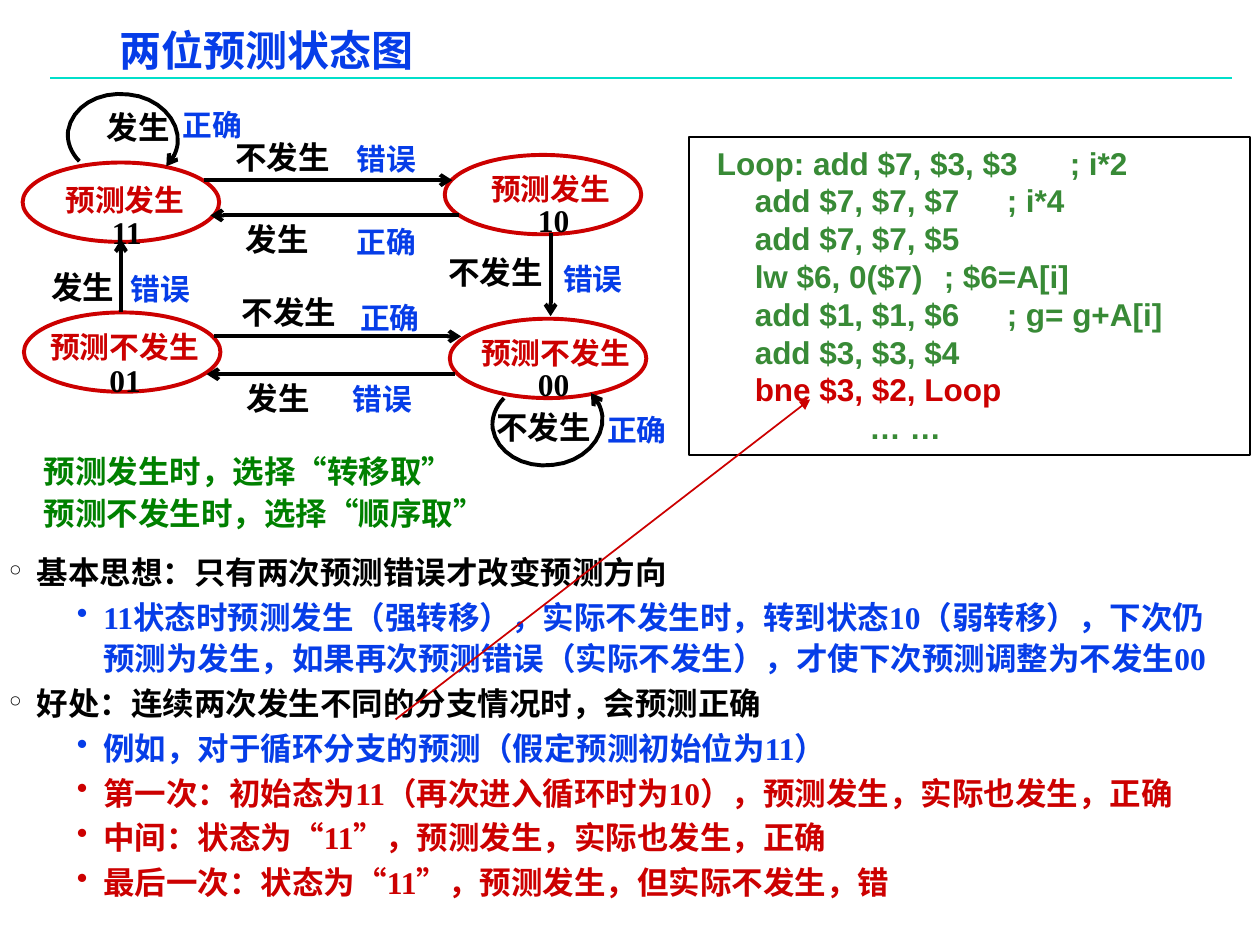
from lxml.etree import SubElement
from pptx import Presentation
from pptx.dml.color import RGBColor
from pptx.enum.shapes import MSO_CONNECTOR, MSO_SHAPE
from pptx.enum.text import MSO_ANCHOR, PP_ALIGN
from pptx.oxml.ns import qn
from pptx.util import Inches, Pt

COLORS = {"blue": "063DE8", "red": "CC0000", "black": "000000",
          "green": "008000", "code": "388A36", "rule": "00DFCA"}
SERIF, SANS, CJK = "Times New Roman", "Arial", "Noto Sans CJK SC"

STATES = [  # ellipse position, name and its position, code and its position
    (0.18, 1.29, "预测发生", 0.42, 1.39, "11", 0.79, 1.64),
    (3.53, 1.23, "预测发生", 3.8, 1.31, "10", 4.17, 1.55),
    (0.19, 2.48, "预测不发生", 0.3, 2.56, "01", 0.77, 2.82),
    (3.57, 2.53, "预测不发生", 3.72, 2.61, "00", 4.17, 2.85),
]
TRANSITIONS = [  # start and end of each arrow
    (1.62, 1.43, 3.59, 1.43), (3.64, 1.71, 1.67, 1.71),
    (1.7, 2.67, 3.66, 2.67), (3.61, 2.97, 1.64, 2.97),
    (0.96, 2.48, 0.96, 1.9), (4.37, 1.85, 4.37, 2.51),
]
OUTCOMES = [
    ("发生", 0.75, 0.81), ("不发生", 3.84, 3.19), ("发生", 0.31, 2.08),
    ("不发生", 1.77, 1.05), ("发生", 1.85, 1.7), ("不发生", 1.82, 2.28),
    ("发生", 1.86, 2.96), ("不发生", 3.46, 1.96),
]
VERDICTS = [
    ("正确", 1.35, 0.8), ("错误", 2.73, 1.07), ("正确", 2.73, 1.73),
    ("错误", 4.37, 2.02), ("正确", 4.72, 3.22), ("正确", 2.76, 2.33),
    ("错误", 2.7, 2.97), ("错误", 0.94, 2.1),
]
LOOP_START = (0.63, 1.28)
LOOP_CURVES = [  # two control points and an end point each
    ((0.56, 1.21), (0.53, 1.12), (0.54, 1.04)),
    ((0.57, 0.85), (0.78, 0.72), (1.02, 0.75)),
    ((1.25, 0.77), (1.43, 0.95), (1.41, 1.14)),
    ((1.4, 1.21), (1.37, 1.27), (1.32, 1.32)),
]
POINTS = [  # level, colour, runs
    (0, "black", ["基本思想：只有两次预测错误才改变预测方向"]),
    (1, "blue", ["11状态时预测发生（强转移），实际不发生时，转到状态10（弱转移），"
                 "下次仍预测为发生，如果再次预测错误（实际不发生），才使下次预测调整为不发生00"]),
    (0, "black", ["好处：连续两次发生不同的分支情况时，会预测正确"]),
    (1, "blue", ["例如，对于循环分支的预测（假定预测初始位为11）"]),
    (1, "red", ["第一次：初始态为11（再次进入循环时为10），预测发生，实际也发生，正确"]),
    (1, "red", ["中间：状态为", "“", "11", "”", "，预测发生，实际也发生，正确"]),
    (1, "red", ["最后一次：状态为", "“", "11", "”", "，预测发生，但实际不发生，错"]),
]
CODE = [  # first-line indent, text, colour
    (0.2, "Loop: add $7, $3, $3\t; i*2", "code"),
    (0, "\tadd $7, $7, $7\t; i*4", "code"),
    (0, "\tadd $7, $7, $5", "code"),
    (0, "\tlw $6, 0($7)\t; $6=A[i]", "code"),
    (0, "\tadd $1, $1, $6\t; g= g+A[i]", "code"),
    (0, "\tadd $3, $3, $4", "code"),
    (0, "\tbne $3, $2, Loop", "red"),
    (1.41, "… …", "code"),
]


def rgb(name):
    return RGBColor.from_string(COLORS[name])


def add_run(paragraph, text, size, color, font=SERIF):
    run = paragraph.add_run()
    run.text = text
    run.font.size, run.font.bold, run.font.name = Pt(size), True, font
    run.font.color.rgb = rgb(color)
    SubElement(run.font._element, qn("a:ea"), typeface=CJK)


def add_text_box(slide, left, top, width, height):
    frame = slide.shapes.add_textbox(
        Inches(left), Inches(top), Inches(width), Inches(height)).text_frame
    frame.word_wrap = True
    return frame


def set_insets(frame, left, top, right, bottom):
    frame.margin_left, frame.margin_top = Inches(left), Inches(top)
    frame.margin_right, frame.margin_bottom = Inches(right), Inches(bottom)


def next_paragraph(frame, index):
    return frame.add_paragraph() if index else frame.paragraphs[0]


def set_indent(paragraph, margin, indent):
    properties = paragraph._p.get_or_add_pPr()
    properties.set("marL", str(Inches(margin)))
    properties.set("indent", str(Inches(indent)))
    return properties


def add_label(slide, text, left, top, size, color):
    frame = add_text_box(slide, left, top, 0.35 + 0.25 * len(text), 0.4)
    add_run(frame.paragraphs[0], text, size, color)


def style_line(shape, color, width, arrow=None):
    shape.line.color.rgb = rgb(color)
    shape.line.width = Pt(width)
    if arrow:
        SubElement(shape.line._get_or_add_ln(), qn("a:tailEnd"), type=arrow)


def add_line(slide, ends, color, width, arrow=None):
    connector = slide.shapes.add_connector(
        MSO_CONNECTOR.STRAIGHT, *(Inches(value) for value in ends))
    style_line(connector, color, width, arrow)
    SubElement(connector._element.spPr, qn("a:effectLst"))


def add_outline(slide, preset, left, top, width, height, color, line_width):
    shape = slide.shapes.add_shape(
        preset, Inches(left), Inches(top), Inches(width), Inches(height))
    shape.shadow.inherit = False
    shape.fill.background()
    style_line(shape, color, line_width)
    return shape


def loop_points(steps=8):
    """Sample the cubic curves of the self-loop above state 11."""
    points = [LOOP_START]
    for curve in LOOP_CURVES:
        corners = (points[-1], *curve)
        for step in range(1, steps + 1):
            t = step / steps
            weights = ((1 - t) ** 3, 3 * t * (1 - t) ** 2, 3 * t * t * (1 - t), t ** 3)
            points.append(tuple(sum(weight * corner[axis] for weight, corner
                                    in zip(weights, corners)) for axis in (0, 1)))
    return points


def add_self_loop(slide, points):
    start, *rest = [(Inches(x), Inches(y)) for x, y in points]
    builder = slide.shapes.build_freeform(*start)
    builder.add_line_segments(rest, close=False)
    shape = builder.convert_to_shape()
    shape.shadow.inherit = False
    shape.fill.background()
    style_line(shape, "black", 2.25, "arrow")


def add_title(slide):
    title = slide.shapes.title
    title.left, title.top = Inches(0.88), Inches(0.22)
    title.width, title.height = Inches(7.51), Inches(0.4)
    frame = title.text_frame
    set_insets(frame, 0.07, 0.03, 0.07, 0.03)
    frame.vertical_anchor = MSO_ANCHOR.TOP
    paragraph = frame.paragraphs[0]
    paragraph.alignment = PP_ALIGN.LEFT
    paragraph.line_spacing = 0.87
    add_run(paragraph, "两位预测状态图", 24, "blue", SANS)
    add_line(slide, (0.4, 0.62, 9.78, 0.62), "rule", 1)


def add_state_diagram(slide):
    for left, top, name, name_left, name_top, code, code_left, code_top in STATES:
        add_outline(slide, MSO_SHAPE.OVAL, left, top, 1.56, 0.63, "red", 2.25)
        add_label(slide, name, name_left, name_top, 17, "red")
        add_label(slide, code, code_left, code_top, 18, "black")
    points = loop_points()
    add_self_loop(slide, points)
    add_self_loop(slide, [(x + 3.37, 4.44 - y) for x, y in points])
    for ends in TRANSITIONS:
        add_line(slide, ends, "black", 2.25, "arrow")
    for label in OUTCOMES:
        add_label(slide, *label, 18, "black")
    for label in VERDICTS:
        add_label(slide, *label, 17, "blue")


def add_summary(slide):
    frame = add_text_box(slide, 0.25, 3.51, 4.23, 0.76)
    for index, text in enumerate(("预测发生时，选择“转移取”", "预测不发生时，选择“顺序取”")):
        paragraph = next_paragraph(frame, index)
        paragraph.line_spacing = 1.1
        add_run(paragraph, text, 18, "green", SANS)


def add_points(slide):
    frame = add_text_box(slide, 0, 4.33, 9.82, 2.87)
    set_insets(frame, 0.07, 0.03, 0.07, 0.03)
    for index, (level, color, runs) in enumerate(POINTS):
        paragraph = next_paragraph(frame, index)
        paragraph.level = level
        paragraph.line_spacing = 1.1
        if index:
            paragraph.space_before = Pt(1.8)
        margin, indent, bullet = ((0.22, -0.22, "°"), (0.75, -0.21, "•"))[level]
        SubElement(set_indent(paragraph, margin, indent), qn("a:buChar"), char=bullet)
        for text in runs:
            add_run(paragraph, text, 18, color, CJK if text in "“”" else SERIF)


def add_code(slide):
    shape = add_outline(slide, MSO_SHAPE.RECTANGLE, 5.47, 1.09, 4.45, 2.52, "black", 1)
    frame = shape.text_frame
    set_insets(frame, 0.02, 0.05, 0.1, 0.05)
    frame.vertical_anchor = MSO_ANCHOR.TOP
    for index, (indent, text, color) in enumerate(CODE):
        paragraph = next_paragraph(frame, index)
        paragraph.alignment = PP_ALIGN.LEFT
        tabs = SubElement(set_indent(paragraph, 0, indent), qn("a:tabLst"))
        for position in (1, 3):
            SubElement(tabs, qn("a:tab"), pos=str(Inches(position)), algn="l")
        add_run(paragraph, text, 18, color, SANS)


def main():
    presentation = Presentation()
    presentation.slide_width, presentation.slide_height = Inches(10), Inches(7.5)
    slide = presentation.slides.add_slide(presentation.slide_layouts[5])
    add_title(slide)
    add_points(slide)
    add_state_diagram(slide)
    add_summary(slide)
    add_code(slide)
    add_line(slide, (3.14, 5.71, 6.43, 3.17), "red", 1, "triangle")
    presentation.save("out.pptx")


if __name__ == "__main__":
    main()
